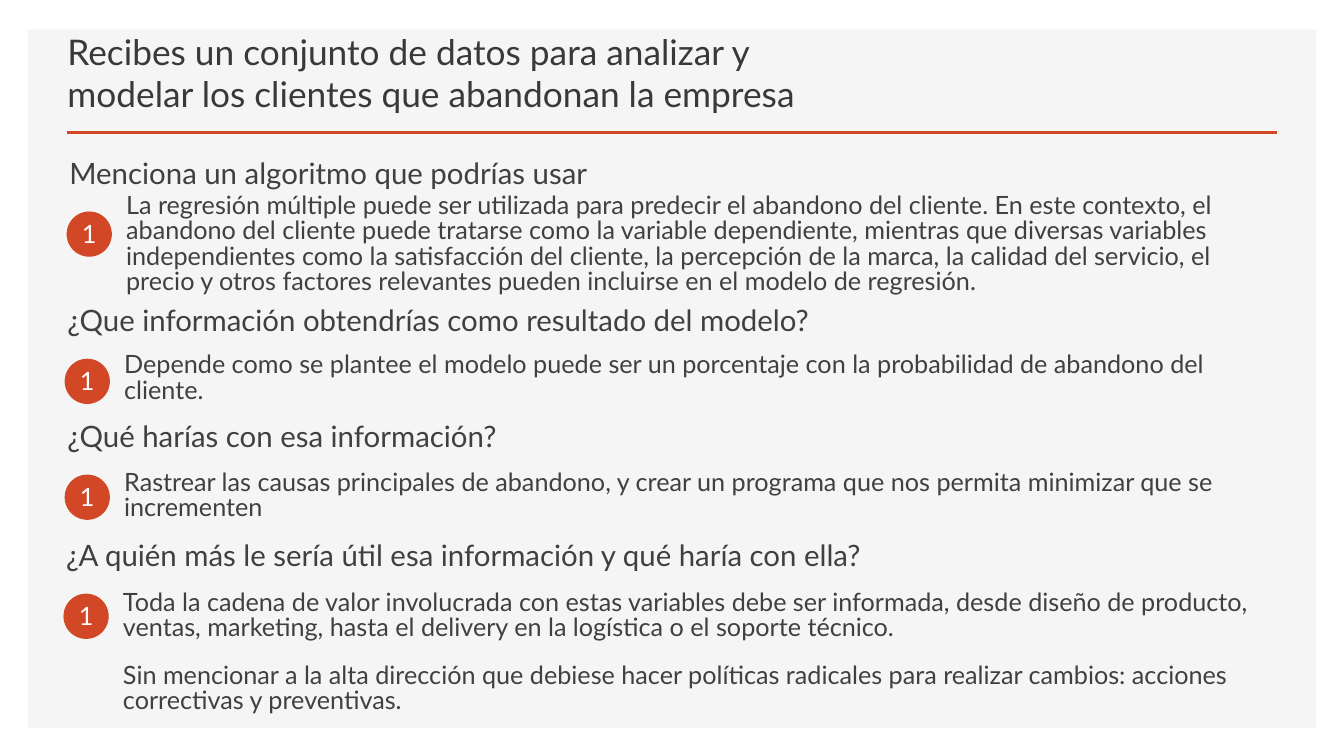
from dataclasses import dataclass

from lxml import etree
from pptx import Presentation
from pptx import util as u
from pptx.dml.color import RGBColor
from pptx.enum import shapes, text
from pptx.oxml import ns

WHITE = RGBColor(0xFF, 0xFF, 0xFF)
PANEL = RGBColor(0xF5, 0xF5, 0xF5)
ORANGE = RGBColor(0xD2, 0x47, 0x26)
TITLE_GREY = RGBColor(0x3B, 0x38, 0x38)
BODY_GREY = RGBColor(0x40, 0x40, 0x40)

TITLE = "Recibes un conjunto de datos para analizar y modelar los clientes que abandonan la empresa"

QUESTIONS = [
    (1.68, 5.33, 4.78, 14.2, "Menciona un algoritmo que podrías usar", [
        "La regresión múltiple puede ser utilizada para predecir el abandono del cliente. "
        "En este contexto, el abandono del cliente puede tratarse como la variable dependiente, "
        "mientras que diversas variables independientes como la satisfacción del cliente, "
        "la percepción de la marca, la calidad del servicio, el precio y otros factores "
        "relevantes pueden incluirse en el modelo de regresión."]),
    (1.63, 9.04, 8.79, 27.79, "¿Que información obtendrías como resultado del modelo?", [
        "Depende como se plantee el modelo puede ser un porcentaje con la probabilidad "
        "de abandono del cliente."]),
    (1.63, 11.96, 11.76, 27.79, "¿Qué harías con esa información?", [
        "Rastrear las causas principales de abandono, y crear un programa que nos permita "
        "minimizar que se incrementen"]),
    (1.6, 14.96, 14.78, 27.79, "¿A quién más le sería útil esa información y qué haría con ella?", [
        "Toda la cadena de valor involucrada con estas variables debe ser informada, desde "
        "diseño de producto, ventas, marketing, hasta el delivery en la logística o el "
        "soporte técnico.",
        "Sin mencionar a la alta dirección que debiese hacer políticas radicales para "
        "realizar cambios: acciones correctivas y preventivas."]),
]


@dataclass
class SlideBuilder:
    slide: object
    font: str = "Lato"
    badge_size: float = 1.14

    def shape(self, parent, kind, left, top, width, height, color):
        shape = parent.add_shape(kind, u.Cm(left), u.Cm(top), u.Cm(width), u.Cm(height))
        shape.shadow.inherit = False
        shape.fill.solid()
        shape.fill.fore_color.rgb = color
        shape.line.fill.background()

    def rule(self, left, right, y):
        rule = self.slide.shapes.add_connector(
            shapes.MSO_CONNECTOR.STRAIGHT, u.Cm(left), u.Cm(y), u.Cm(right), u.Cm(y))
        rule.line.color.rgb = ORANGE
        rule.line.width = u.Pt(2)
        etree.SubElement(rule._element.spPr, ns.qn("a:effectLst"))

    def label(self, parent, left, top, width, height, lines, size, color,
              align=None, after=None, anchor=text.MSO_ANCHOR.TOP):
        box = parent.add_textbox(u.Cm(left), u.Cm(top), u.Cm(width), u.Cm(height))
        frame = box.text_frame
        frame.word_wrap = True
        frame.vertical_anchor = anchor
        frame.text = "\n".join(lines)
        for paragraph in frame.paragraphs:
            paragraph.alignment = align
            if after is not None:
                paragraph.line_spacing = u.Pt(18)
                paragraph.space_before = u.Pt(10)
                paragraph.space_after = u.Pt(after)
            for run in paragraph.runs:
                run.font.name = self.font
                run.font.size = u.Pt(size)
                run.font.color.rgb = color

    def badge(self, left, top, number):
        group = self.slide.shapes.add_group_shape().shapes
        self.shape(group, shapes.MSO_SHAPE.OVAL, left, top,
                   self.badge_size, self.badge_size, ORANGE)
        self.label(group, left - 0.2, top + 0.05, 1.54, 1.02, [number], 18, WHITE,
                   align=text.PP_ALIGN.CENTER)

    def question(self, left, badge_top, answer_top, width, question, answers):
        canvas = self.slide.shapes
        self.label(canvas, left - 0.18, badge_top - 1.29, width, 1.32,
                   [question], 21, BODY_GREY, after=20)
        self.badge(left, badge_top, "1")
        self.label(canvas, left + 1.25, answer_top, 29.46, 1.65,
                   answers, 18, BODY_GREY, after=6)


def main():
    deck = Presentation()
    deck.slide_width = u.Cm(33.87)
    deck.slide_height = u.Cm(19.05)
    builder = SlideBuilder(deck.slides.add_slide(deck.slide_layouts[6]))
    canvas = builder.slide.shapes
    builder.shape(canvas, shapes.MSO_SHAPE.RECTANGLE, 0.71, 0.74, 32.46, 17.6, PANEL)
    builder.rule(1.68, 32.18, 3.33)
    builder.label(canvas, 1.45, 1.24, 19.1, 1.78, [TITLE], 25.2, TITLE_GREY,
                  anchor=text.MSO_ANCHOR.BOTTOM)
    for entry in QUESTIONS:
        builder.question(*entry)
    deck.save("out.pptx")


if __name__ == "__main__":
    main()
